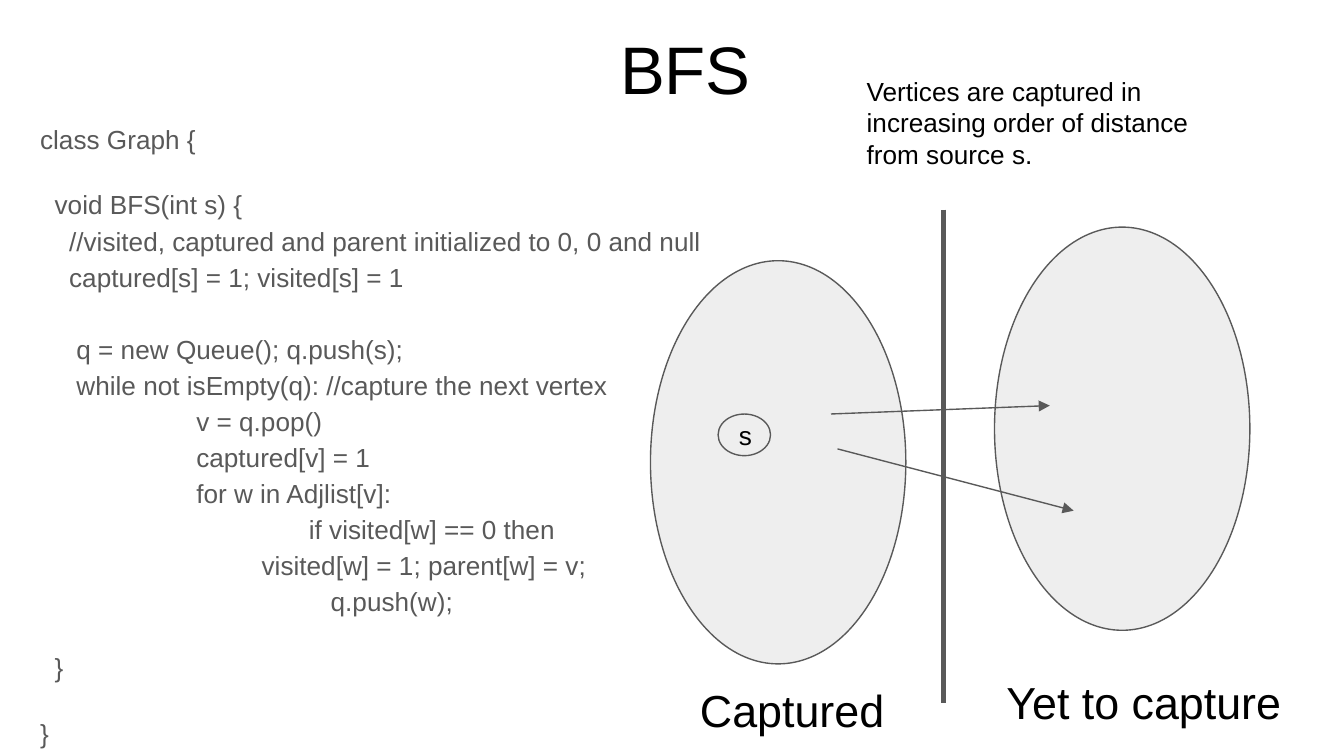
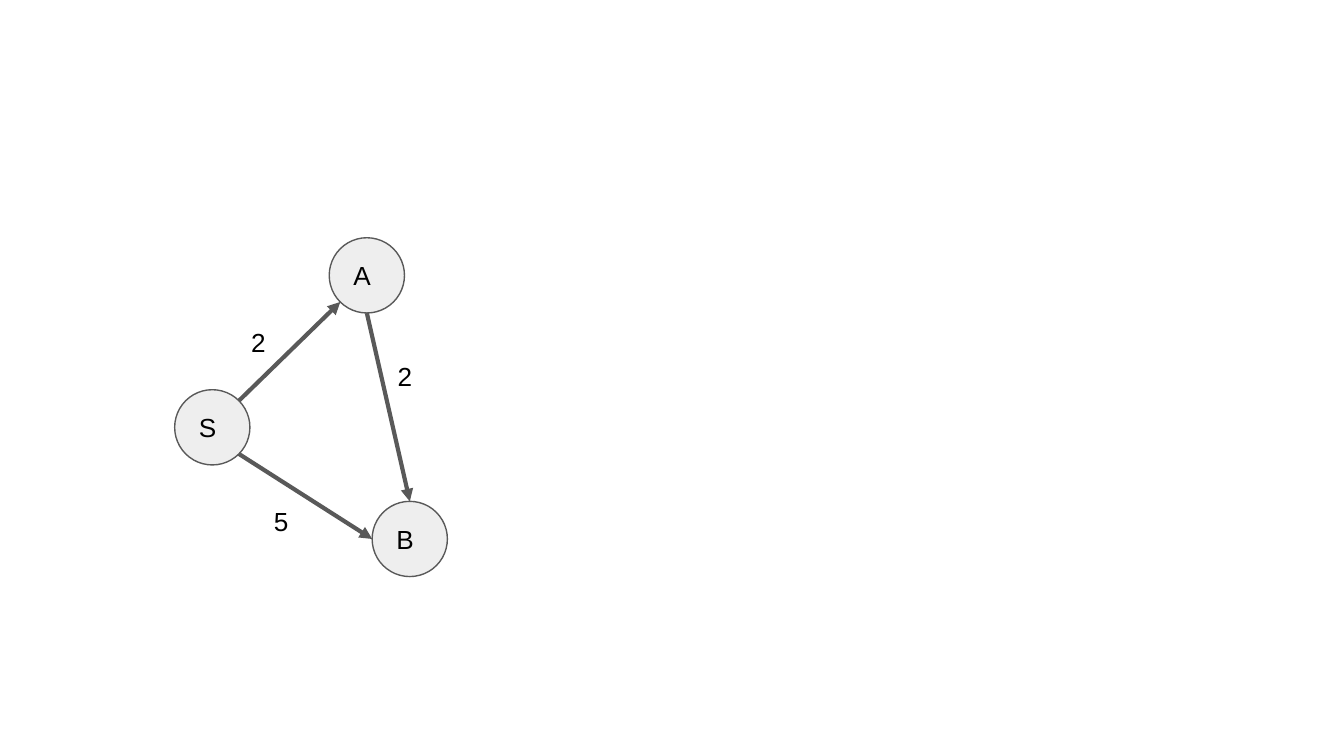
"""Build two slides: the BFS procedure with its vertex sets, and a weighted graph."""
from copy import deepcopy
from math import cos, radians, sin

from lxml.etree import SubElement
from pptx import Presentation
from pptx.dml.color import RGBColor
from pptx.enum.shapes import MSO_CONNECTOR, MSO_SHAPE
from pptx.enum.text import MSO_ANCHOR, PP_ALIGN
from pptx.oxml.ns import qn
from pptx.util import Pt

BLACK = RGBColor(0x00, 0x00, 0x00)
GRAY = RGBColor(0x59, 0x59, 0x59)
LIGHT = RGBColor(0xEE, 0xEE, 0xEE)
INSET = Pt(7.2)
FRAME = dict(word_wrap=True, margin_left=INSET, margin_right=INSET,
             margin_top=INSET, margin_bottom=INSET)
TITLE = dict(size=Pt(36), name="Arial")
CAPTION = dict(size=Pt(24), name="Arial")
BODY = dict(size=Pt(14), name="Arial")
CENTER = dict(alignment=PP_ALIGN.CENTER)
LEFT = dict(alignment=PP_ALIGN.LEFT)
TAB = Pt(72)

CODE = [
    "class Graph {",
    """  void BFS(int s) {
    //visited, captured and parent initialized to 0, 0 and null
    captured[s] = 1; visited[s] = 1

     q = new Queue(); q.push(s);
     while not isEmpty(q): //capture the next vertex
\t   v = q.pop()
\t   captured[v] = 1
\t   for w in Adjlist[v]:
\t\tif visited[w] == 0 then
\t            visited[w] = 1; parent[w] = v;
\t\t   q.push(w);""",
    "  }",
    "}",
]


def apply(target, values):
    """Set each named attribute of the target."""
    for name, value in values.items():
        setattr(target, name, value)


def write(sp, text, font, color=BLACK, layout=LEFT, anchor=MSO_ANCHOR.TOP):
    """Put one formatted paragraph in a shape."""
    tf = sp.text_frame
    apply(tf, FRAME | dict(vertical_anchor=anchor))
    fill_paragraph(tf.paragraphs[0], text, font, color, layout)


def fill_paragraph(p, text, font, color, layout):
    """Write text, with line breaks, into a paragraph and format it."""
    p.text = text.replace("\n", "\v")
    apply(p, layout)
    for r in p.runs:
        apply(r.font, font)
        r.font.color.rgb = color
    for br in p._p.findall(qn("a:br")):
        br.append(deepcopy(p.runs[0]._r.rPr))


def add_text(s, box, text, font, **style):
    """Add a text box."""
    write(s.shapes.add_textbox(*map(Pt, box)), text, font, **style)


def add_oval(s, box, text=None, kind=MSO_SHAPE.OVAL):
    """Add a light oval with a thin outline and an optional label."""
    sp = s.shapes.add_shape(kind, *map(Pt, box))
    sp.shadow.inherit = False
    sp.fill.solid()
    sp.fill.fore_color.rgb = LIGHT
    sp.line.color.rgb = GRAY
    sp.line.width = Pt(0.75)
    if text:
        write(sp, text, BODY, anchor=MSO_ANCHOR.MIDDLE)


def add_line(s, start, end, width, arrow=True):
    """Add a straight line, with an arrowhead at its end if asked."""
    cx = s.shapes.add_connector(MSO_CONNECTOR.STRAIGHT, *map(Pt, (*start, *end)))
    cx.line.color.rgb = GRAY
    cx.line.width = Pt(width)
    if arrow:
        SubElement(cx.line._get_or_add_ln(), qn("a:tailEnd"), type="triangle")
    SubElement(cx._element.spPr, qn("a:effectLst"))


def add_code(s, box):
    """Add the listing, with its tab stops."""
    tf = s.shapes.add_textbox(*map(Pt, box)).text_frame
    apply(tf, FRAME)
    for i, text in enumerate(CODE):
        p = tf.add_paragraph() if i else tf.paragraphs[0]
        tabs = SubElement(p._p.get_or_add_pPr(), qn("a:tabLst"))
        for stop in (1, 2):
            SubElement(tabs, qn("a:tab"), pos=str(stop * TAB), algn="l")
        layout = dict(line_spacing=1.15, space_before=Pt(16 if i else 0))
        fill_paragraph(p, text, BODY, GRAY, layout)


def add_vertex_sets(s, left, top):
    """Add the captured and uncaptured sets, their divider and arrows."""
    for x, y in ((0, 27.4), (184.3, 9.4)):
        add_oval(s, (left + x, top + y, 136.8, 216), kind=MSO_SHAPE.FLOWCHART_CONNECTOR)
    divider = left + 157
    add_line(s, (divider, top), (divider, top + 264.2), 3, arrow=False)
    for text, x, y, w in (("Captured", 19.4, 246.3, 117.4),
                          ("Yet to capture", 183.6, 242, 182.2)):
        add_text(s, (left + x, top + y, w, 36), text, CAPTION)
    for x1, y1, x2, y2 in ((96.7, 109.5, 213.9, 105), (100.2, 128.2, 226.7, 161.3)):
        add_line(s, (left + x1, top + y1), (left + x2, top + y2), 0.75)
    add_oval(s, (left + 36.2, top + 109.5, 28.1, 22.3), "s")


def add_graph(s, left, top):
    """Add three nodes joined by weighted edges."""
    size = 40.3
    nodes = {"A": (82.8, 0), "B": (105.8, 141.2), "S": (0, 81.4)}
    for name, (x, y) in nodes.items():
        add_oval(s, (left + x, top + y, size, size), name)

    def rim(name, angle):
        """Return the point on a node's edge at an angle."""
        x, y = nodes[name]
        r = size / 2
        return (left + x + r + r * cos(radians(angle)),
                top + y + r + r * sin(radians(angle)))

    edges = (("A", 90, "B", -90, "2", 112.3, 58.4),
             ("S", -45, "A", 135, "2", 33.8, 40.4),
             ("S", 45, "B", 180, "5", 46.1, 136.1))
    for start, a1, end, a2, weight, x, y in edges:
        add_line(s, rim(start, a1), rim(end, a2), 2.25)
        add_text(s, (left + x, top + y, 25.2, 26.6), weight, BODY)


def build_bfs_slide(s):
    """Lay out the BFS slide."""
    add_text(s, (31.7, 2.9, 671, 66.2), "BFS", TITLE,
             layout=CENTER, anchor=MSO_ANCHOR.MIDDLE)
    add_code(s, (14.4, 56.2, 671, 269.3))
    add_vertex_sets(s, 348.5, 112.3)
    add_text(s, (457.2, 33.1, 210.2, 55.4),
             "Vertices are captured in increasing order of distance from source s.", BODY)


def main():
    """Build and save the presentation."""
    prs = Presentation()
    prs.slide_width, prs.slide_height = Pt(720), Pt(405)
    blank = prs.slide_layouts[6]
    build_bfs_slide(prs.slides.add_slide(blank))
    add_graph(prs.slides.add_slide(blank), 93.6, 127.4)
    prs.save("out.pptx")


if __name__ == "__main__":
    main()
